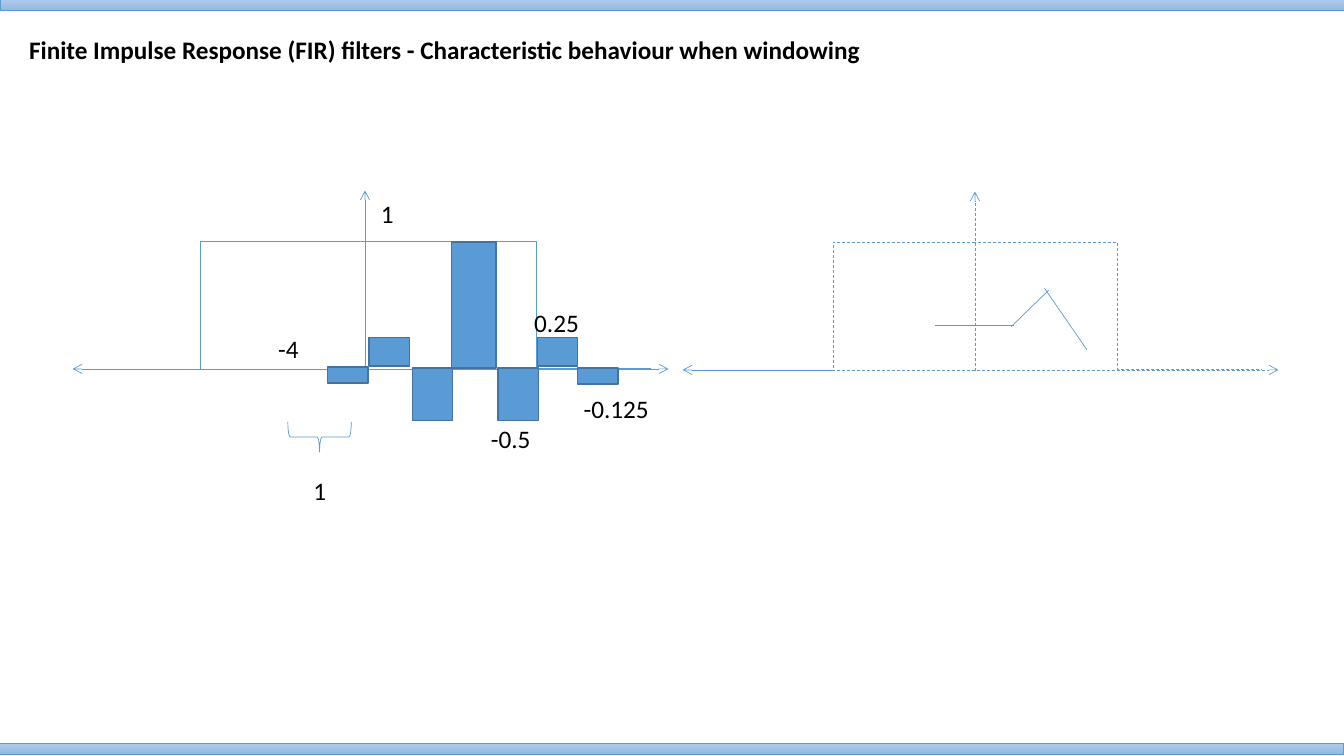
import pptx
import pptx.util
import pptx.dml.color
import pptx.enum.dml
import pptx.enum.shapes
import pptx.enum.text
import pptx.oxml.ns
import lxml.etree

EMU_PER_PX = 9144
BLUE = "5B9BD5"
BAR_EDGE = "43739E"
SHAPES = pptx.enum.shapes.MSO_SHAPE
CONNECTORS = pptx.enum.shapes.MSO_CONNECTOR


def px(*lengths):
    """Convert px lengths to EMU."""
    return [pptx.util.Emu(length * EMU_PER_PX) for length in lengths]


def color(hex_string):
    """Return the colour for a hex string."""
    return pptx.dml.color.RGBColor.from_string(hex_string)


def add_text(slide, text, box, size=18, bold=False, ink="000000", font="Calibri"):
    """Add one line of text in the given box."""
    frame = slide.shapes.add_textbox(*px(*box)).text_frame
    frame.word_wrap = True
    frame.auto_size = pptx.enum.text.MSO_AUTO_SIZE.SHAPE_TO_FIT_TEXT
    run = frame.paragraphs[0].add_run()
    run.text = text
    run.font.size = pptx.util.Pt(size)
    run.font.bold = bold
    run.font.name = font
    run.font.color.rgb = color(ink)


def add_outlined(slide, kind, box, edge=BLUE, width=0.5, fill=None):
    """Add a preset shape with a thin outline and an optional fill."""
    shape = slide.shapes.add_shape(kind, *px(*box))
    shape.shadow.inherit = False
    shape.line.color.rgb = color(edge)
    shape.line.width = pptx.util.Pt(width)
    if fill:
        shape.fill.solid()
        shape.fill.fore_color.rgb = color(fill)
    else:
        shape.fill.background()
    return shape


def add_line(slide, start, end, arrows=(), dashed=False, bend=None):
    """Add a straight line, or an elbow that turns at the bend fraction."""
    kind = CONNECTORS.STRAIGHT if bend is None else CONNECTORS.ELBOW
    line = slide.shapes.add_connector(kind, *px(*start, *end))
    line.line.color.rgb = color(BLUE)
    line.line.width = pptx.util.Pt(0.5)
    if dashed:
        line.line.dash_style = pptx.enum.dml.MSO_LINE.DASH
    qn = pptx.oxml.ns.qn
    properties = line._element.spPr
    for arrow in arrows:
        lxml.etree.SubElement(properties.find(qn("a:ln")), qn(f"a:{arrow}"), type="arrow")
    lxml.etree.SubElement(properties, qn("a:effectLst"))
    if bend is not None:
        guides = properties.find(qn("a:prstGeom")).find(qn("a:avLst"))
        lxml.etree.SubElement(guides, qn("a:gd"), name="adj1", fmla=f"val {round(bend * 100000)}")


def add_border_band(slide, box):
    """Add a gradient band along an edge of the slide."""
    band = add_outlined(slide, SHAPES.RECTANGLE, box)
    band.fill.gradient()
    band.fill.gradient_angle = 270
    for stop, shade in zip(band.fill.gradient_stops, ("B1CBE9", "93B9E4")):
        stop.color.rgb = color(shade)


def add_windowed_axes(slide, left, top, right_bend, left_bend, dashed=False):
    """Draw a pair of axes with a rectangular window around the origin."""
    origin, baseline, window_top = left + 290, top + 177, top + 50
    add_line(slide, (origin, top + 178), (origin, top), ["tailEnd"], dashed)
    add_line(slide, (left, baseline), (left + 591, baseline), ["headEnd", "tailEnd"], dashed)
    add_line(slide, (origin - 2, window_top), (left + 574, baseline - 1), (), dashed, right_bend)
    add_line(slide, (origin, window_top), (left + 9, baseline), (), dashed, left_bend)


def add_impulse_response(slide, left, top):
    """Draw the window with the filter coefficients as bars and labels."""
    add_windowed_axes(slide, left, top, 0.6, 0.58)
    bars = [(376, 211, 44, 125), (337, 276, 40, 52), (422, 276, 40, 52), (461, 146, 40, 28),
            (501, 276, 40, 16), (294, 146, 40, 28), (253, 275, 40, 16)]
    for x, y, width, height in bars:
        y_offset = y if y < 200 else y - (160 if height == 125 else 100)
        add_outlined(slide, SHAPES.RECTANGLE, (left + x, top + y_offset, width, height),
                     BAR_EDGE, 1, BLUE)
    labels = [("-4", 194, 137, 81), ("0.25", 448, 111, 98), ("-0.5", 405, 226, 98),
              ("-0.125", 497, 196, 144), ("1", 296, 3, 36), ("1", 229, 278, 36)]
    for text, x, y, width in labels:
        add_text(slide, text, (left + x, top + y, width, 40))
    brace = add_outlined(slide, SHAPES.LEFT_BRACE, (left + 230, top + 213, 30, 63))
    brace.rotation = 270


def add_filtered_signal(slide, left, top):
    """Draw the dashed window with the signal inside it."""
    add_windowed_axes(slide, left, top, 0.5, 0.5, dashed=True)
    signal = [((250, 133), (329, 133)), ((326, 134), (363, 98)), ((359, 96), (401, 157))]
    for (x1, y1), (x2, y2) in signal:
        add_line(slide, (left + x1, top + y1), (left + x2, top + y2))


def main():
    """Build and save the slide."""
    deck = pptx.Presentation()
    deck.slide_width, deck.slide_height = px(1333, 750)
    slide = deck.slides.add_slide(deck.slide_layouts[6])
    add_border_band(slide, (0, -1, 1333, 11))
    add_border_band(slide, (-1, 737, 1333, 11))
    add_text(slide, "Finite Impulse Response (FIR) filters - Characteristic behaviour when windowing",
             (19, 29, 1217, 40), bold=True)
    add_impulse_response(slide, 72, 189)
    add_filtered_signal(slide, 677, 190)
    deck.save("out.pptx")


if __name__ == "__main__":
    main()
